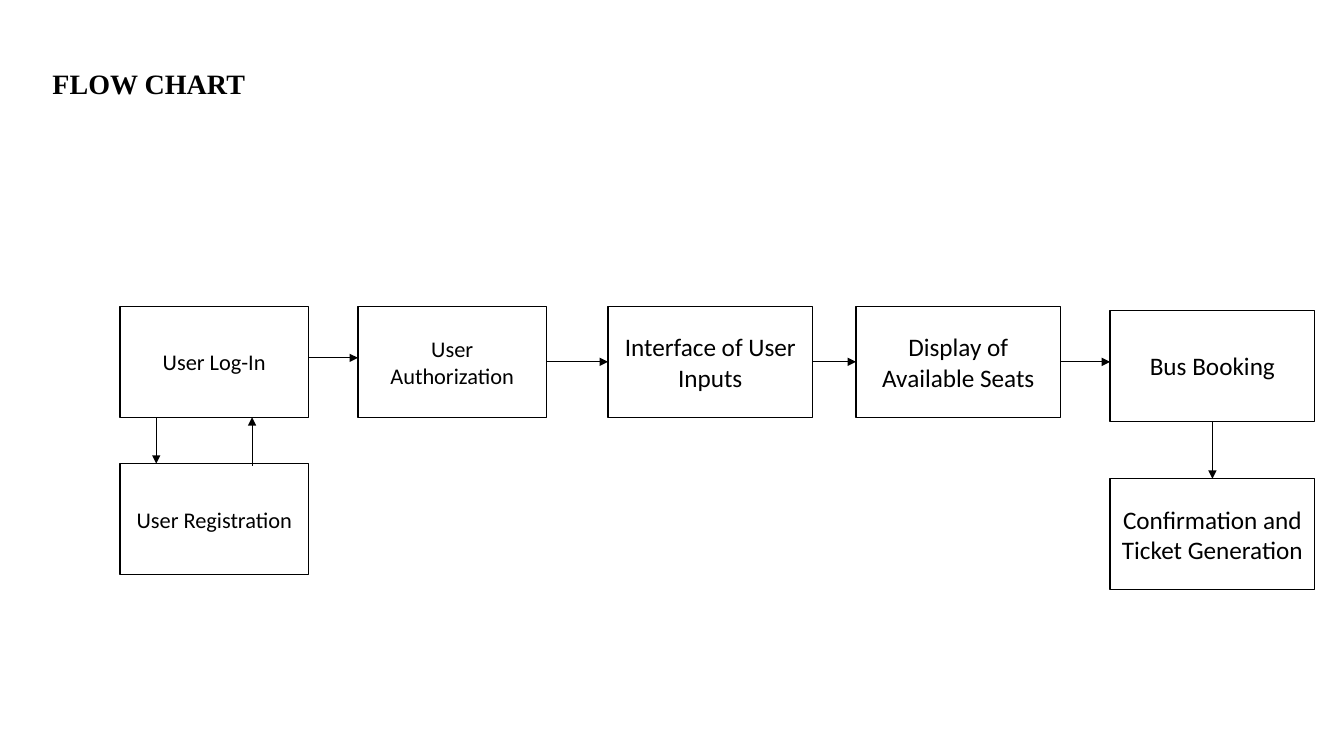
from dataclasses import dataclass

from lxml import etree
from pptx import Presentation
from pptx.dml.color import RGBColor
from pptx.enum.shapes import MSO_CONNECTOR, MSO_SHAPE
from pptx.enum.text import MSO_ANCHOR, MSO_AUTO_SIZE, PP_ALIGN
from pptx.oxml.ns import qn
from pptx.shapes.autoshape import Shape
from pptx.slide import Slide
from pptx.text.text import TextFrame
from pptx.util import Inches, Pt

RECT = MSO_SHAPE.RECTANGLE
STRAIGHT = MSO_CONNECTOR.STRAIGHT
TOP, MIDDLE = MSO_ANCHOR.TOP, MSO_ANCHOR.MIDDLE
LEFT, CENTER = PP_ALIGN.LEFT, PP_ALIGN.CENTER
GROW = MSO_AUTO_SIZE.SHAPE_TO_FIT_TEXT
SITE_TOP, SITE_LEFT, SITE_BASE, SITE_RIGHT = range(4)


@dataclass(frozen=True)
class Theme:
    ink: RGBColor = RGBColor(0x00, 0x00, 0x00)
    paper: RGBColor = RGBColor(0xFF, 0xFF, 0xFF)
    body: str = "Calibri"
    head: str = "Times New Roman"
    small: int = 16
    large: int = 18
    title: int = 20
    edge: float = 1
    wire: float = 0.5


THEME = Theme()
HIGH = 1.1
SLIM, WIDE = 1.87, 2.03


@dataclass(frozen=True)
class Step:
    key: str
    text: str
    x: float
    y: float
    width: float
    size: int


@dataclass(frozen=True)
class Arrow:
    start: tuple[float, float]
    end: tuple[float, float]
    source: tuple[str, int] | None = None
    target: tuple[str, int] | None = None


ROW = 3.04
MID = ROW + HIGH / 2
STEPS = (
    Step("login", "User Log-In", 1.19, ROW, SLIM, THEME.small),
    Step("register", "User Registration", 1.19, 4.6, SLIM, THEME.small),
    Step("verify", "User Authorization", 3.55, ROW, SLIM, THEME.small),
    Step("inputs", "Interface of User Inputs", 6.03, ROW, WIDE, THEME.large),
    Step("seats", "Display of Available Seats", 8.49, ROW, WIDE, THEME.large),
    Step("booking", "Bus Booking", 11.01, 3.08, WIDE, THEME.large),
    Step("ticket", "Confirmation and Ticket Generation", 11.01, 4.75, WIDE, THEME.large),
)
ARROWS = (
    Arrow((1.55, 4.14), (1.55, 4.6)),
    Arrow((2.5, 4.62), (2.5, 4.14)),
    Arrow((3.06, 3.55), (3.55, 3.55)),
    Arrow((5.42, MID), (6.03, MID), ("verify", SITE_RIGHT), ("inputs", SITE_LEFT)),
    Arrow((8.06, MID), (8.49, MID), ("inputs", SITE_RIGHT), ("seats", SITE_LEFT)),
    Arrow((10.52, MID), (11.01, MID), ("seats", SITE_RIGHT)),
    Arrow((12.03, 4.18), (12.03, 4.75), ("booking", SITE_BASE), ("ticket", SITE_TOP)),
)


def write(frame: TextFrame, text: str, font: str, size: int,
          align: PP_ALIGN, bold: bool = False) -> None:
    para = frame.paragraphs[0]
    para.alignment = align
    run = para.add_run()
    run.text = text
    run.font.name = font
    run.font.size = Pt(size)
    run.font.bold = bold
    run.font.color.rgb = THEME.ink


def add_title(slide: Slide, text: str) -> None:
    title = slide.shapes.title
    title.left, title.top = Inches(0.42), Inches(0.61)
    title.width, title.height = Inches(7.52), Inches(0.44)
    frame = title.text_frame
    frame.word_wrap = True
    frame.auto_size = GROW
    frame.vertical_anchor = TOP
    write(frame, text, THEME.head, THEME.title, LEFT, bold=True)


def add_step(slide: Slide, step: Step) -> Shape:
    box = slide.shapes.add_shape(
        RECT, Inches(step.x), Inches(step.y), Inches(step.width), Inches(HIGH))
    box.shadow.inherit = False
    box.fill.solid()
    box.fill.fore_color.rgb = THEME.paper
    box.line.color.rgb = THEME.ink
    box.line.width = Pt(THEME.edge)
    frame = box.text_frame
    frame.word_wrap = True
    frame.vertical_anchor = MIDDLE
    write(frame, step.text, THEME.body, step.size, CENTER)
    return box


def add_arrow(slide: Slide, arrow: Arrow, boxes: dict[str, Shape]) -> None:
    ends = [Inches(value) for value in arrow.start + arrow.end]
    wire = slide.shapes.add_connector(STRAIGHT, *ends)
    if arrow.source:
        key, site = arrow.source
        wire.begin_connect(boxes[key], site)
    if arrow.target:
        key, site = arrow.target
        wire.end_connect(boxes[key], site)
    wire.line.color.rgb = THEME.ink
    wire.line.width = Pt(THEME.wire)
    props = wire.element.spPr
    etree.SubElement(props.find(qn("a:ln")), qn("a:tailEnd"), type="triangle")
    etree.SubElement(props, qn("a:effectLst"))


def main() -> None:
    deck = Presentation()
    deck.slide_width, deck.slide_height = Inches(13.33), Inches(7.5)
    slide = deck.slides.add_slide(deck.slide_layouts.get_by_name("Title Only"))
    slide.background.fill.solid()
    slide.background.fill.fore_color.rgb = THEME.paper
    add_title(slide, "FLOW CHART")
    boxes = {step.key: add_step(slide, step) for step in STEPS}
    for arrow in ARROWS:
        add_arrow(slide, arrow, boxes)
    deck.save("out.pptx")


if __name__ == "__main__":
    main()
